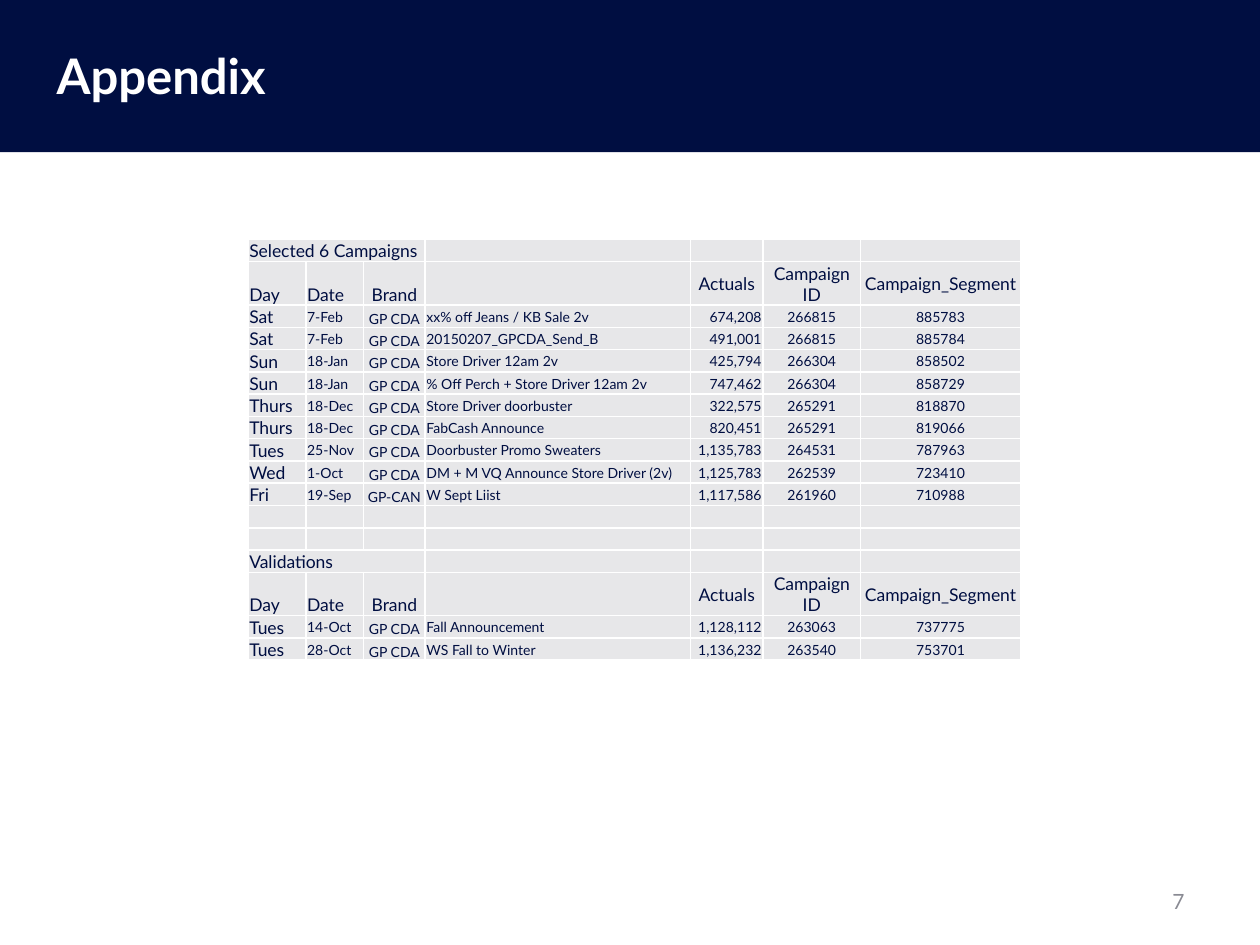
from dataclasses import dataclass

import pptx
import pptx.dml.color
import pptx.enum.shapes
import pptx.enum.text
import pptx.oxml
import pptx.oxml.ns
import pptx.util
from lxml import etree

Pt = pptx.util.Pt
ALIGN = pptx.enum.text.PP_ALIGN
ANCHOR = pptx.enum.text.MSO_ANCHOR
AUTO_SIZE = pptx.enum.text.MSO_AUTO_SIZE


@dataclass
class Theme:
    font: str = "Lato"
    navy: str = "000E41"
    white: str = "FFFFFF"
    cell: str = "E7E7E9"
    muted: str = "898A93"
    title_size: float = 28
    number_size: float = 12
    heading_size: float = 10
    data_size: float = 8


def rgb(value):
    return pptx.dml.color.RGBColor.from_string(value)


class SlideBuilder:
    def __init__(self, slide, theme):
        self.slide = slide
        self.theme = theme

    def add_span(self, para, text, size, color, align=ALIGN.LEFT, bold=False, underline=False):
        para.alignment = align
        span = para.add_run()
        span.text = text
        span.font.name = self.theme.font
        span.font.size = Pt(size)
        span.font.color.rgb = rgb(color)
        span.font.bold = bold
        span.font.underline = underline

    def band(self, left, top, width, height):
        box = self.slide.shapes.add_shape(
            pptx.enum.shapes.MSO_SHAPE.RECTANGLE, Pt(left), Pt(top), Pt(width), Pt(height))
        box.shadow.inherit = False
        box.fill.solid()
        box.fill.fore_color.rgb = rgb(self.theme.navy)
        box.line.fill.background()
        # The band lies behind the title
        self.slide.shapes.title.element.addprevious(box.element)

    def title(self, text, left, top, width, height):
        box = self.slide.shapes.title
        box.left, box.top, box.width, box.height = Pt(left), Pt(top), Pt(width), Pt(height)
        frame = box.text_frame
        frame.word_wrap = True
        frame.auto_size = AUTO_SIZE.SHAPE_TO_FIT_TEXT
        frame.vertical_anchor = ANCHOR.TOP
        self.add_span(frame.paragraphs[0], text, self.theme.title_size, self.theme.white, bold=True)

    def page_number(self, text, left, top, width, height):
        box = self.slide.shapes.add_textbox(Pt(left), Pt(top), Pt(width), Pt(height))
        frame = box.text_frame
        frame.word_wrap = True
        frame.vertical_anchor = ANCHOR.MIDDLE
        self.add_span(frame.paragraphs[0], text, self.theme.number_size, self.theme.muted, ALIGN.RIGHT)

    def table(self, left, top, widths, heights):
        frame = self.slide.shapes.add_table(
            len(heights), len(widths), Pt(left), Pt(top), Pt(sum(widths)), Pt(sum(heights)))
        table = frame.table
        table.first_row = table.horz_banding = False
        for column, width in zip(table.columns, widths):
            column.width = Pt(width)
        for row, height in zip(table.rows, heights):
            row.height = Pt(height)
        for cell in table.iter_cells():
            self.style_cell(cell)
        return table

    def style_cell(self, cell):
        cell.margin_left = cell.margin_right = cell.margin_top = Pt(0.7)
        cell.margin_bottom = 0
        # Borders come before the fill in the cell properties
        properties = cell._tc.get_or_add_tcPr()
        for side in ("lnL", "lnR", "lnT", "lnB"):
            properties.append(pptx.oxml.parse_xml(
                f'<a:{side} {pptx.oxml.ns.nsdecls("a")} w="{Pt(1)}"><a:solidFill>'
                f'<a:srgbClr val="{self.theme.white}"/></a:solidFill></a:{side}>'))
        cell.fill.solid()
        cell.fill.fore_color.rgb = rgb(self.theme.cell)
        # Empty cells keep the small type size, so rows do not grow
        end = etree.SubElement(cell.text_frame.paragraphs[0]._p, pptx.oxml.ns.qn("a:endParaRPr"))
        end.set("sz", str(int(self.theme.data_size * 100)))

    def cell(self, cell, text, size, align, anchor, underline=False):
        cell.vertical_anchor = anchor
        if text:
            self.add_span(cell.text_frame.paragraphs[0], text, size, self.theme.navy, align,
                          underline=underline)


HEADER = ("Day", "Date", "Brand", "", "Actuals", "Campaign ID", "Campaign_Segment")
SELECTED = [
    ("Sat", "7-Feb", "GP CDA", "xx% off Jeans / KB Sale 2v", "674,208", "266815", "885783"),
    ("Sat", "7-Feb", "GP CDA", "20150207_GPCDA_Send_B", "491,001", "266815", "885784"),
    ("Sun", "18-Jan", "GP CDA", "Store Driver 12am 2v", "425,794", "266304", "858502"),
    ("Sun", "18-Jan", "GP CDA", "% Off Perch + Store Driver 12am 2v", "747,462", "266304", "858729"),
    ("Thurs", "18-Dec", "GP CDA", "Store Driver doorbuster", "322,575", "265291", "818870"),
    ("Thurs", "18-Dec", "GP CDA", "FabCash Announce", "820,451", "265291", "819066"),
    ("Tues", "25-Nov", "GP CDA", "Doorbuster Promo Sweaters", "1,135,783", "264531", "787963"),
    ("Wed", "1-Oct", "GP CDA", "DM + M VQ Announce Store Driver (2v)", "1,125,783", "262539", "723410"),
    ("Fri", "19-Sep", "GP-CAN", "W Sept Liist", "1,117,586", "261960", "710988"),
]
VALIDATIONS = [
    ("Tues", "14-Oct", "GP CDA", "Fall Announcement", "1,128,112", "263063", "737775"),
    ("Tues", "28-Oct", "GP CDA", "WS Fall to Winter", "1,136,232", "263540", "753701"),
]
ROWS = [("Selected 6 Campaigns",), HEADER, *SELECTED, (), (), ("Validations",), HEADER, *VALIDATIONS]
WIDTHS = (33, 33, 35.2, 151.7, 41.3, 55.9, 91.3)
LEFT, CENTER, RIGHT = ALIGN.LEFT, ALIGN.CENTER, ALIGN.RIGHT
BOTTOM, MIDDLE = ANCHOR.BOTTOM, ANCHOR.MIDDLE
HEADER_ALIGNS = (LEFT, LEFT, CENTER, LEFT, CENTER, CENTER, CENTER)
HEADER_ANCHORS = (BOTTOM,) * 3 + (MIDDLE,) * 4
DATA_ALIGNS = (LEFT, LEFT, CENTER, LEFT, RIGHT, CENTER, CENTER)
DATA_ANCHORS = (BOTTOM, MIDDLE, BOTTOM) + (MIDDLE,) * 4


def fill_campaigns(builder, table):
    theme = builder.theme
    for index, values in enumerate(ROWS):
        # Section headings span the first three columns
        if len(values) == 1:
            first = table.cell(index, 0)
            first.merge(table.cell(index, 2))
            builder.cell(first, values[0], theme.heading_size, LEFT, BOTTOM, underline=True)
            continue
        is_header = values == HEADER
        aligns = HEADER_ALIGNS if is_header else DATA_ALIGNS
        anchors = HEADER_ANCHORS if is_header else DATA_ANCHORS
        for column, text in enumerate(values):
            large = is_header or column == 0
            size = theme.heading_size if large else theme.data_size
            builder.cell(table.cell(index, column), text, size, aligns[column], anchors[column])


def main():
    deck = pptx.Presentation()
    deck.slide_width, deck.slide_height = Pt(720), Pt(540)
    page = deck.slides.add_slide(deck.slide_layouts[5])
    builder = SlideBuilder(page, Theme())

    # Title band
    builder.band(0, -2, 720, 89)
    builder.title("Appendix", 25.2, 22.3, 684, 41)

    # Campaign table
    heights = [24.8 if row == HEADER else 12.75 for row in ROWS]
    fill_campaigns(builder, builder.table(141.8, 136.8, WIDTHS, heights))

    # Page number
    builder.page_number("7", 516, 500.5, 168, 28.8)
    deck.save("out.pptx")


if __name__ == "__main__":
    main()
